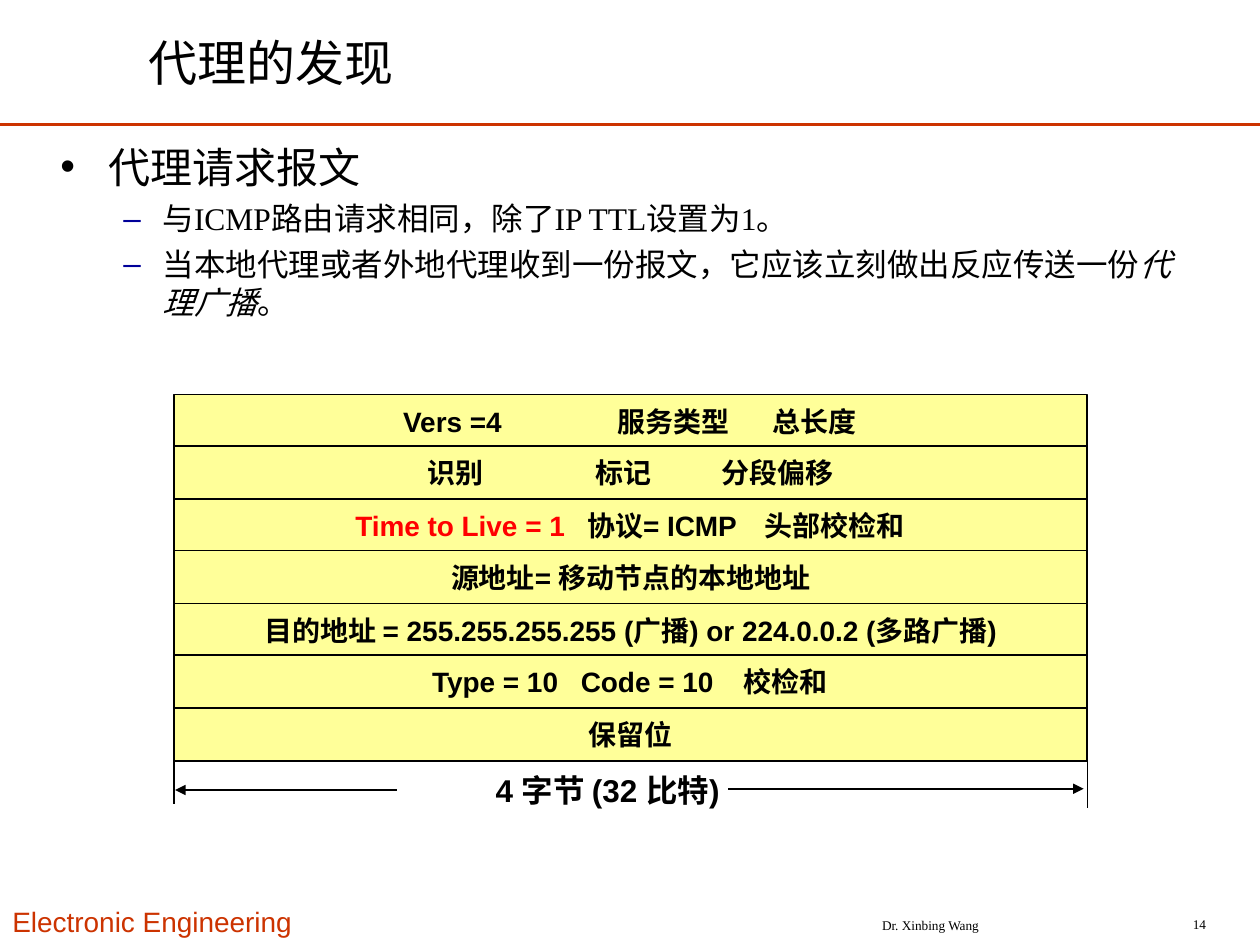
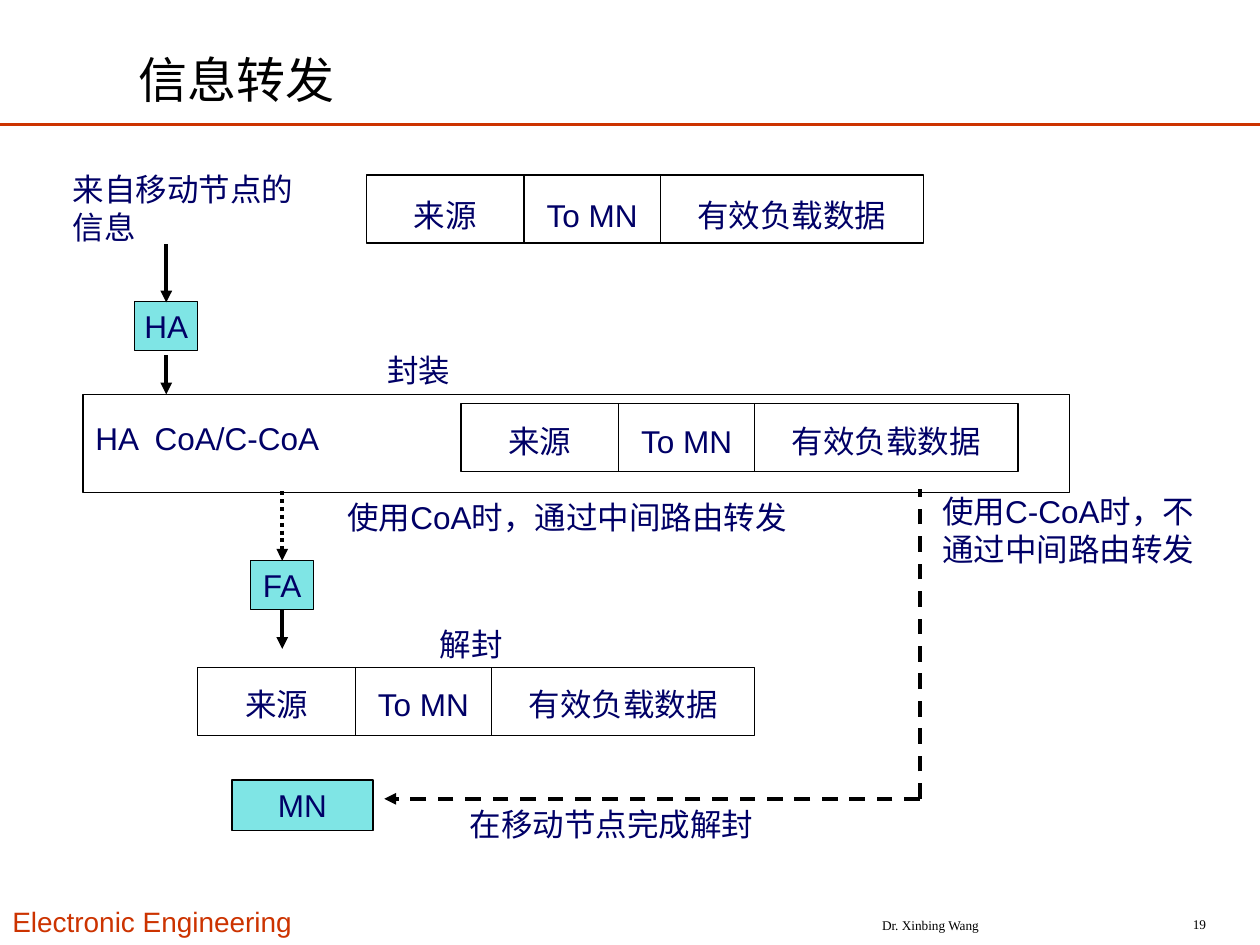
import dataclasses

import pptx
import pptx.dml.color
import pptx.enum.dml
import pptx.enum.shapes
import pptx.enum.text
import pptx.oxml.ns
import pptx.oxml.xmlchemy
import pptx.util
from lxml import etree

EMU_PER_PX = 9144  # 100 px to the inch
ALIGN = pptx.enum.text.PP_ALIGN
ANCHOR = pptx.enum.text.MSO_ANCHOR
DASH = pptx.enum.dml.MSO_LINE


@dataclasses.dataclass(frozen=True)
class Theme:
    ink: str = "000000"
    accent: str = "CC3300"
    paper: str = "FFFFFF"
    navy: str = "000066"
    dash_bullet: str = "000099"
    header_row: str = "FFFF99"
    highlight: str = "FF0000"
    node: str = "00CCCC"
    serif: str = "Times New Roman"
    sans: str = "Arial"
    title: float = 28
    list_head: float = 24
    text: float = 18
    field: float = 16
    footer: float = 7.6
    hairline: float = 0.75
    thin: float = 1
    rule: float = 1.5
    thick: float = 2.25


THEME = Theme()
SERIF = {"name": THEME.serif, "color": THEME.ink}
TITLE = {**SERIF, "size": THEME.title}
FOOTER = {**SERIF, "size": THEME.footer}
LABEL = {"name": THEME.sans, "size": THEME.text, "color": THEME.navy}
FIELD = {"name": THEME.sans, "size": THEME.field, "color": THEME.ink, "bold": True}


# ---- Basic helpers ----

def px(length):
    return pptx.util.Emu(length * EMU_PER_PX)


def rgb(value):
    return pptx.dml.color.RGBColor.from_string(value)


def add_xml(parent, tag, **attributes):
    element = etree.SubElement(parent, pptx.oxml.ns.qn(tag))
    for name, value in attributes.items():
        element.set(name, str(value))
    return element


def apply(target, values):
    for name, value in values.items():
        setattr(target, name, value)


def write(paragraph, text, style):
    run = paragraph.add_run()
    run.text = text
    for name, value in style.items():
        if name == "color":
            run.font.color.rgb = rgb(value)
        else:
            setattr(run.font, name, pptx.util.Pt(value) if name == "size" else value)


def place(shape, box):
    apply(shape, dict(zip(("left", "top", "width", "height"), map(px, box))))


def add_tabs(paragraph, stops):
    tab_list = add_xml(paragraph._p.get_or_add_pPr(), "a:tabLst")
    for stop in stops:
        add_xml(tab_list, "a:tab", pos=px(stop), algn="l")


def add_label(slide, box, text, style=LABEL, align=ALIGN.LEFT, anchor=ANCHOR.TOP,
              wrap=True, tabs=()):
    label = slide.shapes.add_textbox(*map(px, box))
    apply(label.text_frame, {"word_wrap": wrap, "vertical_anchor": anchor})
    paragraph = label.text_frame.paragraphs[0]
    if tabs:
        add_tabs(paragraph, tabs)
    paragraph.alignment = align
    write(paragraph, text, style)


def add_box(slide, box, fill, width, alpha=None):
    rect = slide.shapes.add_shape(pptx.enum.shapes.MSO_SHAPE.RECTANGLE, *map(px, box))
    rect.shadow.inherit = False
    rect.fill.solid()
    rect.fill.fore_color.rgb = rgb(fill)
    if alpha:
        color = rect._element.spPr.find(".//" + pptx.oxml.ns.qn("a:srgbClr"))
        add_xml(color, "a:alpha", val=alpha * 1000)
    rect.line.color.rgb = rgb(THEME.ink)
    rect.line.width = pptx.util.Pt(width)
    return rect


def add_line(slide, start, end, width, color=THEME.ink, dash=None, arrow=False):
    line = slide.shapes.add_connector(
        pptx.enum.shapes.MSO_CONNECTOR.STRAIGHT, *map(px, (*start, *end)))
    line.line.color.rgb = rgb(color)
    line.line.width = pptx.util.Pt(width)
    if dash:
        line.line.dash_style = dash
    if arrow:
        add_xml(line._element.spPr.get_or_add_ln(), "a:tailEnd", type="triangle")
    add_xml(line._element.spPr, "a:effectLst")


# ---- Parts shared by the slides ----

def start_slide(deck, layout, title, title_box, anchor, number):
    slide = deck.slides.add_slide(deck.slide_layouts[layout])
    place(slide.shapes.title, title_box)
    slide.shapes.title.text_frame.vertical_anchor = anchor
    heading = slide.shapes.title.text_frame.paragraphs[0]
    heading.alignment = ALIGN.LEFT
    write(heading, title, TITLE)
    add_line(slide, (0, 99), (1000, 99), THEME.rule, THEME.accent)
    add_label(slide, (0, 713, 255, 37), "Electronic Engineering",
              {"name": THEME.sans, "size": THEME.field, "color": THEME.accent})
    add_label(slide, (617, 722, 243, 25), "Dr. Xinbing Wang", FOOTER,
              ALIGN.CENTER, ANCHOR.MIDDLE)
    add_label(slide, (884, 721, 83, 25), number, FOOTER, ALIGN.RIGHT, ANCHOR.MIDDLE)
    return slide


# ---- Agent discovery ----

def fill_list(body, box):
    place(body, box)
    levels = (
        {"size": THEME.list_head, "margin": 38, "hang": 38, "mark": "•",
         "mark_color": THEME.ink},
        {"size": THEME.text, "margin": 81, "hang": 31, "mark": "–",
         "mark_color": THEME.dash_bullet},
    )
    items = (
        (0, 0, [("代理请求报文", False)]),
        (1, 4.5, [("与ICMP路由请求相同，除了IP TTL设置为1。", False)]),
        (1, 4.5, [("当本地代理或者外地代理收到一份报文，它应该立刻做出反应传送一份", False),
                  ("代理广播", True), ("。", False)]),
    )
    for index, (level, space, runs) in enumerate(items):
        frame = body.text_frame
        paragraph = frame.add_paragraph() if index else frame.paragraphs[0]
        look = levels[level]
        properties = paragraph._p.get_or_add_pPr()
        properties.set("marL", str(px(look["margin"])))
        properties.set("indent", str(-px(look["hang"])))
        add_xml(add_xml(properties, "a:buClr"), "a:srgbClr", val=look["mark_color"])
        add_xml(properties, "a:buChar", char=look["mark"])
        apply(paragraph, {"level": level, "space_before": pptx.util.Pt(space)})
        for text, italic in runs:
            write(paragraph, text, {**SERIF, "size": look["size"], "italic": italic})


def draw_packet_header(slide, left, top, width):
    # Each row: fields, and where they start (none: the single field is centred)
    rows = (
        (("Vers =4", "服务类型", "总长度"), (172, 342, 465)),
        (("识别", "标记", "分段偏移"), (191, 325, 425)),
        (("Time to Live = 1", "协议= ICMP", "头部校检和"), (134, 318, 459)),
        (("源地址= 移动节点的本地地址",), ()),
        (("目的地址 = 255.255.255.255 (广播) or 224.0.0.2 (多路广播)",), ()),
        (("Type = 10", "Code = 10", "校检和"), (195, 313, 442)),
        (("保留位",), ()),
    )
    for index, (fields, starts) in enumerate(rows):
        row = add_box(slide, (left, top + index * 83 // 2, width, 42),
                      THEME.header_row, THEME.thin)
        apply(row.text_frame, {"word_wrap": True, "vertical_anchor": ANCHOR.MIDDLE})
        paragraph = row.text_frame.paragraphs[0]
        if starts:
            row.text_frame.margin_left = px(10 + starts[0])
            add_tabs(paragraph, [start - starts[0] for start in starts[1:]])
        paragraph.alignment = ALIGN.LEFT if starts else ALIGN.CENTER
        for position, field in enumerate(fields):
            color = THEME.highlight if field.startswith("Time") else THEME.ink
            write(paragraph, "\t" * (position > 0) + field, {**FIELD, "color": color})

    # Width measure under the rows
    right, base = left + width, top + 290
    add_line(slide, (left, base - 2), (left, base + 35), THEME.thin)
    add_line(slide, (right, base), (right, base + 38), THEME.thin)
    add_line(slide, (left + 177, base + 24), (left + 1, base + 24), THEME.thin, arrow=True)
    add_label(slide, (left + 221, base + 4, 222, 40), "4 字节 (32 比特)",
              {**FIELD, "size": THEME.text}, ALIGN.RIGHT, wrap=False)
    add_line(slide, (left + 440, base + 23), (right - 3, base + 23), THEME.thin, arrow=True)


def build_discovery(deck):
    slide = start_slide(deck, 1, "代理的发现", (108, 15, 663, 69), ANCHOR.MIDDLE, "14")
    fill_list(slide.placeholders[1], (38, 107, 903, 263))
    draw_packet_header(slide, 138, 313, 725)


# ---- Message forwarding ----

def draw_packet(slide, left, top, label_drop):
    add_box(slide, (left, top, 442, 54), THEME.paper, THEME.hairline)
    offset = 0
    for text, width in (("来源", 125), ("To MN", 108), ("有效负载数据", 209)):
        if offset:
            add_line(slide, (left + offset, top), (left + offset, top + 54), THEME.hairline)
        add_label(slide, (left + offset, top + label_drop, width, 40), text,
                  align=ALIGN.CENTER)
        offset += width


def draw_node(slide, box, name):
    node = add_box(slide, box, THEME.node, THEME.hairline, alpha=50)
    apply(node.text_frame, {"word_wrap": False, "vertical_anchor": ANCHOR.MIDDLE})
    paragraph = node.text_frame.paragraphs[0]
    paragraph.alignment = ALIGN.CENTER
    write(paragraph, name, LABEL)


def draw_tunnel(slide, left, top):
    add_box(slide, (left, top, 783, 78), THEME.paper, THEME.hairline)
    add_label(slide, (left, top + 15, 250, 40), "HA\tCoA/C-CoA", tabs=(47,))
    draw_packet(slide, left + 300, top + 7, 10)


def build_forwarding(deck):
    slide = start_slide(deck, 5, "信息转发", (100, 14, 758, 77), ANCHOR.BOTTOM, "19")
    # Packets and nodes
    draw_packet(slide, 291, 139, 12)
    draw_tunnel(slide, 66, 313)
    draw_packet(slide, 157, 530, 9)
    for box, name in (((107, 239, 50, 39), "HA"), ((199, 445, 50, 39), "FA"),
                      ((184, 619, 112, 40), "MN")):
        draw_node(slide, box, name)
    # Routes
    for start, end, dash, arrow in (
            ((132, 194), (132, 240), None, True),
            ((132, 282), (132, 313), None, True),
            ((224, 390), (224, 445), DASH.ROUND_DOT, True),
            ((224, 484), (224, 515), None, True),
            ((730, 634), (305, 634), DASH.DASH, True),
            ((730, 634), (730, 388), DASH.DASH, False)):
        add_line(slide, start, end, THEME.thick, dash=dash, arrow=arrow)
    # Captions
    for box, text, align in (
            ((48, 130, 208, 70), "来自移动节点的信息", ALIGN.LEFT),
            ((224, 274, 217, 40), "封装", ALIGN.CENTER),
            ((266, 390, 400, 40), "使用CoA时，通过中间路由转发", ALIGN.LEFT),
            ((274, 491, 200, 40), "解封", ALIGN.CENTER),
            ((363, 634, 342, 40), "在移动节点完成解封", ALIGN.LEFT),
            ((738, 386, 233, 70), "使用C-CoA时，不通过中间路由转发", ALIGN.LEFT)):
        add_label(slide, box, text, align=align)


def main():
    deck = pptx.Presentation()
    apply(deck, {"slide_width": px(1000), "slide_height": px(750)})
    build_discovery(deck)
    build_forwarding(deck)
    deck.save("out.pptx")


if __name__ == "__main__":
    main()
